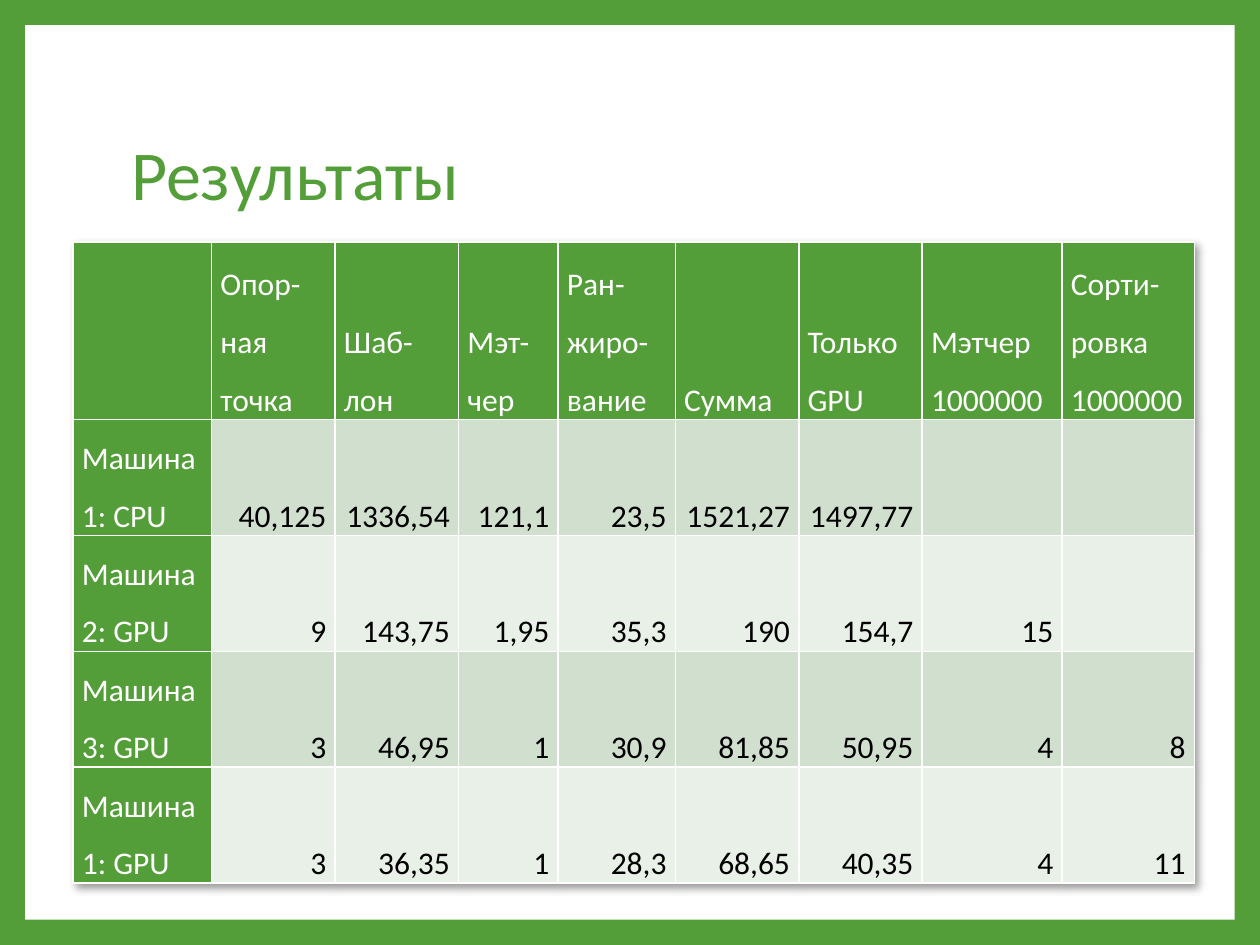
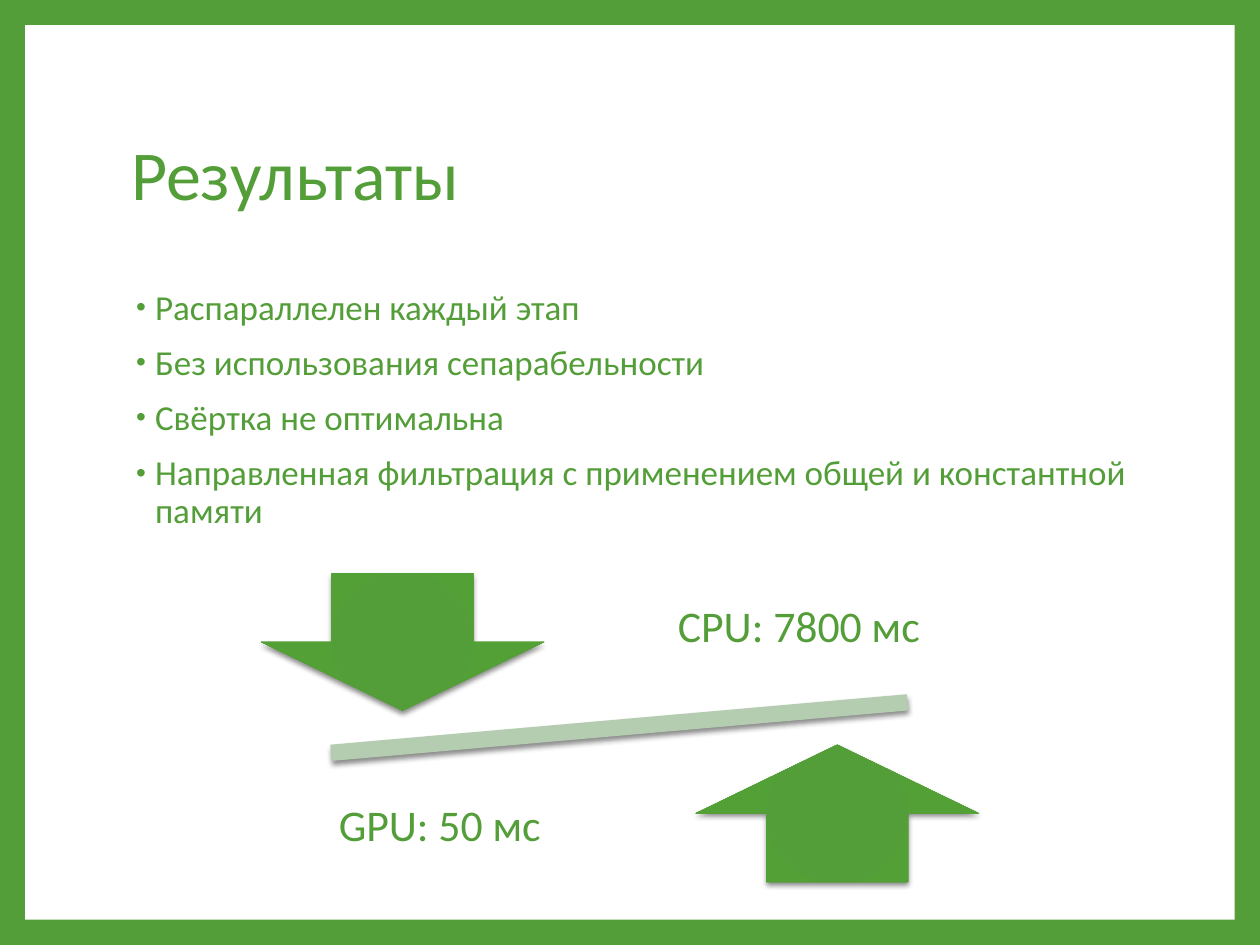
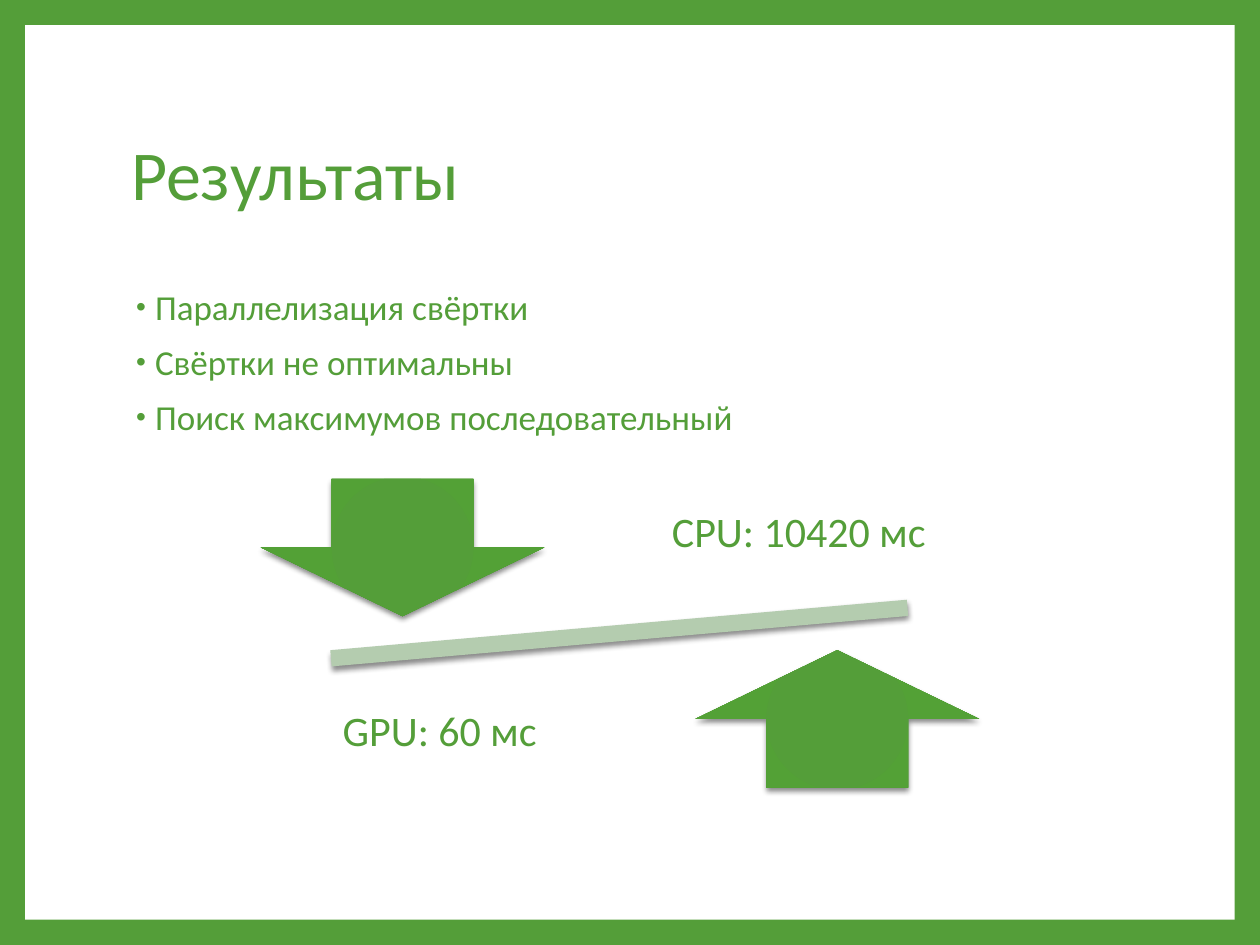
from pptx import Presentation
from pptx.dml.color import RGBColor
from pptx.enum.shapes import MSO_SHAPE as Preset
from pptx.enum.text import MSO_ANCHOR as Anchor, MSO_AUTO_SIZE as AutoSize, PP_ALIGN as Align
from pptx.oxml import parse_xml
from pptx.oxml.ns import nsdecls, qn
from pptx.util import Inches, Pt

GREEN, WHITE, BLACK = "549E39", "FFFFFF", "000000"
BAR_GREEN = "B4CCAF"
BANDS = ("D1DFCE", "E9F0E8")
FONT = "Calibri"
TITLE = "Результаты"
TITLE_ONLY, TITLE_AND_BODY = 5, 1
ARROW_STOPS = [(0, GREEN), (90, "53A136"), (100, "48992B")]

HEADERS = ["", "Опор-ная точка", "Шаб-лон", "Мэт-чер", "Ран-жиро-вание", "Сумма",
           "Только GPU", "Мэтчер 1000000", "Сорти-ровка 1000000"]
TIMINGS = [
    ["Машина 1: CPU", "40,125", "1336,54", "121,1", "23,5", "1521,27", "1497,77", "", ""],
    ["Машина 2: GPU", "9", "143,75", "1,95", "35,3", "190", "154,7", "15", ""],
    ["Машина 3: GPU", "3", "46,95", "1", "30,9", "81,85", "50,95", "4", "8"],
    ["Машина 1: GPU", "3", "36,35", "1", "28,3", "68,65", "40,35", "4", "11"],
]
COLUMN_WIDTHS = [1.1, 0.98, 0.98, 0.79, 0.93, 0.98, 0.98, 1.11, 1.05]
HEADER_HEIGHT, ROW_HEIGHT = 1.41, 0.92

COMPARISONS = [
    {
        "points": ["Распараллелен каждый этап", "Без использования сепарабельности",
                   "Свёртка не оптимальна",
                   "Направленная фильтрация с применением общей и константной памяти"],
        "points_height": 2.67, "balance_top": 4.55, "label_size": 25,
        "cpu": "CPU: 7800 мс", "gpu": "GPU: 50 мс",
    },
    {
        "points": ["Параллелизация свёртки", "Свёртки не оптимальны",
                   "Поиск максимумов последовательный"],
        "points_height": 4.42, "balance_top": 3.8, "label_size": 24,
        "cpu": "CPU: 10420 мс", "gpu": "GPU: 60 мс",
    },
]


def rgb(color):
    return RGBColor.from_string(color)


def inches(*lengths):
    return [Inches(length) for length in lengths]


def place(shape, left, top, width, height):
    shape.left, shape.top, shape.width, shape.height = inches(left, top, width, height)


def style(paragraph, size, color=GREEN, align=Align.LEFT, spacing=0.9):
    paragraph.alignment = align
    paragraph.line_spacing = spacing
    font = paragraph.font
    font.name, font.size, font.bold = FONT, Pt(size), False
    font.color.rgb = rgb(color)


def shadow_xml(blur, distance, degrees, alpha):
    return parse_xml(
        f'<a:outerShdw {nsdecls("a")} blurRad="{Pt(blur)}" dist="{Pt(distance)}" '
        f'dir="{degrees * 60000}" algn="ctr" rotWithShape="0"><a:srgbClr val="{BLACK}">'
        f'<a:alpha val="{alpha * 1000}"/></a:srgbClr></a:outerShdw>')


def set_up_master(presentation):
    master = presentation.slide_master
    master.background.fill.solid()
    master.background.fill.fore_color.rgb = rgb(GREEN)
    panel = presentation.slides[0].shapes.add_shape(Preset.RECTANGLE, *inches(0.2, 0.2, 9.6, 7.1))
    panel.shadow.inherit = False
    panel.fill.solid()
    panel.fill.fore_color.rgb = rgb(WHITE)
    panel.line.fill.background()
    master.shapes._spTree.insert(2, panel._element)


def add_titled_slide(presentation, layout):
    slide = presentation.slides.add_slide(presentation.slide_layouts[layout])
    title = slide.shapes.title
    place(title, 0.94, 0.67, 8.1, 1.48)
    title.text_frame.text = TITLE
    title.text_frame.vertical_anchor = Anchor.MIDDLE
    title.text_frame.auto_size = AutoSize.NONE
    style(title.text_frame.paragraphs[0], 40)
    return slide


def add_borders(cell):
    properties = cell._tc.get_or_add_tcPr()
    for position, side in enumerate("LRTB"):
        properties.insert(position, parse_xml(
            f'<a:ln{side} {nsdecls("a")} w="{Pt(1)}"><a:solidFill>'
            f'<a:srgbClr val="{WHITE}"/></a:solidFill></a:ln{side}>'))


def add_timings(slide):
    rows = [HEADERS] + TIMINGS
    heights = [HEADER_HEIGHT] + [ROW_HEIGHT] * len(TIMINGS)
    frame = slide.shapes.add_table(len(rows), len(HEADERS), *inches(
        0.58, 1.92, sum(COLUMN_WIDTHS), sum(heights)))
    table = frame.table
    table.first_col = True
    effects = parse_xml(f'<a:effectLst {nsdecls("a")}/>')
    effects.append(shadow_xml(4, 3, 45, 40))
    table._tbl.tblPr.insert(0, effects)
    for column, width in zip(table.columns, COLUMN_WIDTHS):
        column.width = Inches(width)
    for r, (values, height) in enumerate(zip(rows, heights)):
        table.rows[r].height = Inches(height)
        for c, value in enumerate(values):
            heading = r == 0 or c == 0
            cell = table.cell(r, c)
            cell.text = value
            cell.vertical_anchor = Anchor.BOTTOM
            cell.margin_left = cell.margin_right = Inches(0.07)
            cell.margin_top = cell.margin_bottom = 0
            cell.fill.solid()
            cell.fill.fore_color.rgb = rgb(GREEN if heading else BANDS[(r - 1) % 2])
            add_borders(cell)
            style(cell.text_frame.paragraphs[0], 18, WHITE if heading else BLACK,
                  Align.LEFT if heading else Align.RIGHT, 1.5)


def add_points(slide, points, height):
    body = slide.placeholders[1]
    place(body, 0.94, 2.25, 8.1, height)
    frame = body.text_frame
    frame.text = "\n".join(points)
    frame.auto_size = AutoSize.NONE
    for paragraph in frame.paragraphs:
        properties = paragraph._p.get_or_add_pPr()
        properties.set("marL", str(Inches(0.19)))
        properties.set("indent", str(Inches(-0.15)))
        for bullet in (f'<a:buClr {nsdecls("a")}><a:srgbClr val="{GREEN}"/></a:buClr>',
                       f'<a:buSzPct {nsdecls("a")} val="80000"/>',
                       f'<a:buFont {nsdecls("a")} typeface="Arial"/>',
                       f'<a:buChar {nsdecls("a")} char="•"/>'):
            properties.append(parse_xml(bullet))
        paragraph.space_before = Pt(10)
        style(paragraph, 20)


def add_raised_shape(group, preset, *box):
    shape = group.shapes.add_shape(preset, *inches(*box))
    shape.line.fill.background()
    shape.fill.solid()
    shape.shadow.inherit = False
    shape._element.spPr.find(qn("a:effectLst")).append(shadow_xml(3, 2, 90, 45))
    return shape


def add_arrow(group, preset, left, top):
    arrow = add_raised_shape(group, preset, left, top, 2.25, 1.09)
    stops = "".join(f'<a:gs pos="{position * 1000}"><a:srgbClr val="{color}"/></a:gs>'
                    for position, color in ARROW_STOPS)
    properties = arrow._element.spPr
    properties.replace(properties.find(qn("a:solidFill")), parse_xml(
        f'<a:gradFill {nsdecls("a")}><a:gsLst>{stops}</a:gsLst><a:path path="circle">'
        '<a:fillToRect l="100000" t="100000" r="100000" b="100000"/></a:path></a:gradFill>'))


def add_label(group, text, left, top, size):
    frame = group.shapes.add_textbox(*inches(left, top, 2.4, 1.14)).text_frame
    frame.word_wrap = True
    frame.vertical_anchor = Anchor.MIDDLE
    frame.margin_left = frame.margin_right = Inches(0.19)
    frame.margin_top = frame.margin_bottom = Inches(0.19)
    frame.text = text
    style(frame.paragraphs[0], size, align=Align.CENTER)


def add_balance(slide, top, cpu, gpu, size):
    balance = slide.shapes.add_group_shape()
    bar = add_raised_shape(balance, Preset.MATH_MINUS, 1.79, top + 0.95, 6.25, 0.55)
    bar.fill.fore_color.rgb = rgb(BAR_GREEN)
    bar.rotation = 355
    add_arrow(balance, Preset.DOWN_ARROW, 2.07, top)
    add_label(balance, cpu, 5.14, top - 0.13, size)
    add_arrow(balance, Preset.UP_ARROW, 5.52, top + 1.36)
    add_label(balance, gpu, 2.29, top + 1.45, size)


def main():
    presentation = Presentation()
    presentation.slide_width, presentation.slide_height = inches(10, 7.5)
    add_timings(add_titled_slide(presentation, TITLE_ONLY))
    set_up_master(presentation)
    for comparison in COMPARISONS:
        slide = add_titled_slide(presentation, TITLE_AND_BODY)
        add_points(slide, comparison["points"], comparison["points_height"])
        add_balance(slide, comparison["balance_top"], comparison["cpu"],
                    comparison["gpu"], comparison["label_size"])
    presentation.save("out.pptx")


if __name__ == "__main__":
    main()
